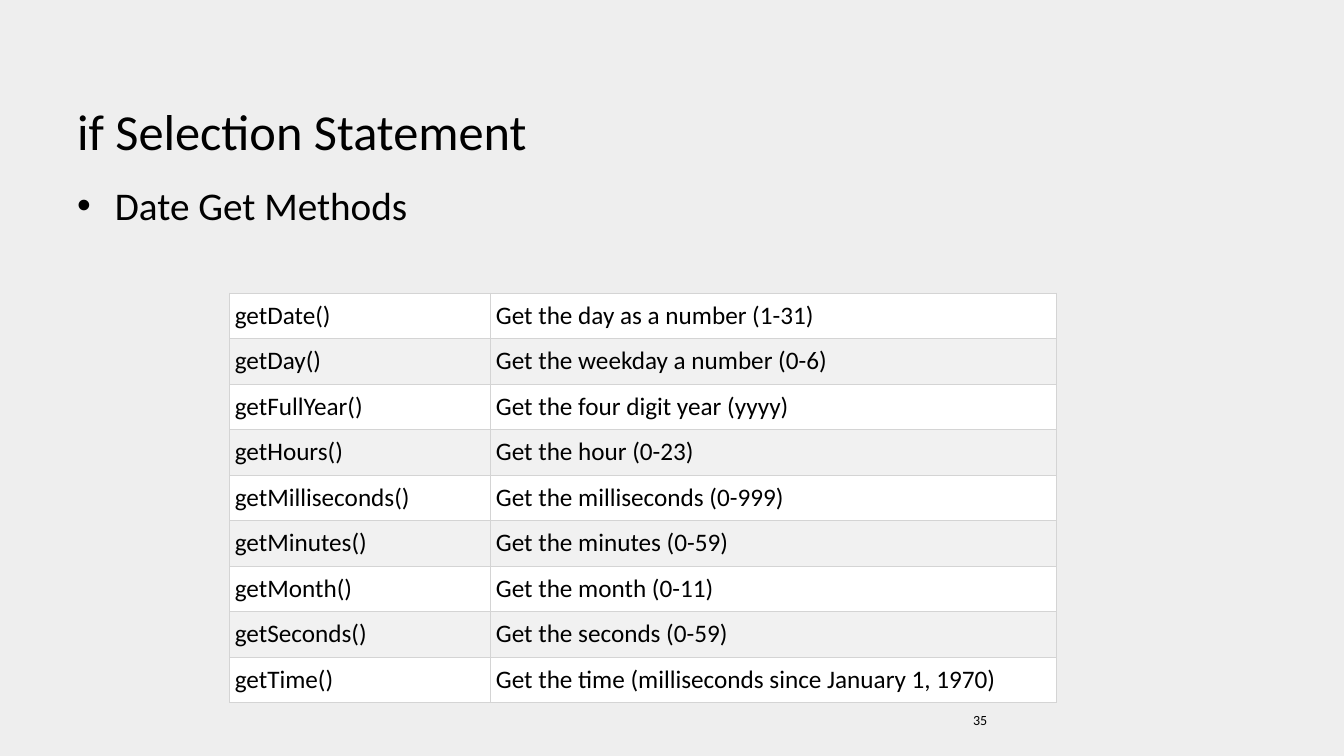
"""Build the slide on Date get methods."""
import dataclasses

import lxml.etree
import pptx
import pptx.dml.color
import pptx.enum.text
import pptx.oxml.ns
import pptx.util

Pt = pptx.util.Pt
qn = pptx.oxml.ns.qn
ANCHOR = pptx.enum.text.MSO_ANCHOR


@dataclasses.dataclass(frozen=True)
class Theme:
    font: str = "Calibri"
    text: str = "000000"
    background: str = "EEEEEE"
    border: str = "D4D4D4"
    bands: tuple = ("FFFFFF", "F1F1F1")
    title_size: int = 36
    body_size: int = 28
    table_size: int = 18
    number_size: int = 10


THEME = Theme()

DATE_METHODS = [
    ("getDate()", "Get the day as a number (1-31)"),
    ("getDay()", "Get the weekday a number (0-6)"),
    ("getFullYear()", "Get the four digit year (yyyy)"),
    ("getHours()", "Get the hour (0-23)"),
    ("getMilliseconds()", "Get the milliseconds (0-999)"),
    ("getMinutes()", "Get the minutes (0-59)"),
    ("getMonth()", "Get the month (0-11)"),
    ("getSeconds()", "Get the seconds (0-59)"),
    ("getTime()", "Get the time (milliseconds since January 1, 1970)"),
]


def set_fill(fill, color):
    fill.solid()
    fill.fore_color.rgb = pptx.dml.color.RGBColor.from_string(color)


def set_text(tf, text, size):
    tf.text = text
    p = tf.paragraphs[0]
    for r in p.runs:
        r.font.name = THEME.font
        r.font.size = Pt(size)
        set_fill(r.font.fill, THEME.text)
    return p


def add_text(s, text, size, left, top, width, height, anchor=ANCHOR.TOP):
    sp = s.shapes.add_textbox(Pt(left), Pt(top), Pt(width), Pt(height))
    tf = sp.text_frame
    tf.word_wrap = True
    tf.vertical_anchor = anchor
    return set_text(tf, text, size)


def add_bullet(p, indent):
    pPr = p._p.get_or_add_pPr()
    pPr.set("marL", str(Pt(indent)))
    pPr.set("indent", str(-Pt(indent)))
    lxml.etree.SubElement(pPr, qn("a:buFont"), typeface="Arial")
    lxml.etree.SubElement(pPr, qn("a:buChar"), char="•")


def add_borders(cell):
    tcPr = cell._tc.get_or_add_tcPr()
    for i, side in enumerate(("lnL", "lnR", "lnT", "lnB")):
        ln = lxml.etree.Element(qn(f"a:{side}"), w=str(Pt(0.75)))
        solid = lxml.etree.SubElement(ln, qn("a:solidFill"))
        lxml.etree.SubElement(solid, qn("a:srgbClr"), val=THEME.border)
        tcPr.insert(i, ln)


def add_table(s, rows, left, top, col_widths, row_height):
    table = s.shapes.add_table(
        len(rows), len(col_widths), Pt(left), Pt(top),
        Pt(sum(col_widths)), Pt(row_height * len(rows))).table
    table.first_row = False
    table.horz_banding = False
    for column, width in zip(table.columns, col_widths):
        column.width = Pt(width)
    for i, texts in enumerate(rows):
        table.rows[i].height = Pt(row_height)
        for j, text in enumerate(texts):
            cell = table.cell(i, j)
            cell.margin_left = cell.margin_right = Pt(3.75)
            cell.margin_top = cell.margin_bottom = Pt(5)
            set_text(cell.text_frame, text, THEME.table_size)
            set_fill(cell.fill, THEME.bands[i % 2])
            add_borders(cell)


def main():
    prs = pptx.Presentation()
    prs.slide_width, prs.slide_height = Pt(960), Pt(540)
    s = prs.slides.add_slide(prs.slide_layouts[6])
    set_fill(s.background.fill, THEME.background)

    p = add_text(s, "Date Get Methods", THEME.body_size, 48, 126, 864, 60)
    add_bullet(p, 27)
    add_text(s, "if Selection Statement", THEME.title_size,
             48, 28, 864, 90, ANCHOR.BOTTOM)
    add_table(s, DATE_METHODS, 164, 209.5, (186.5, 404), 32.5)
    add_text(s, "35", THEME.number_size, 688, 505, 224, 24.5)

    prs.save("out.pptx")


if __name__ == "__main__":
    main()
